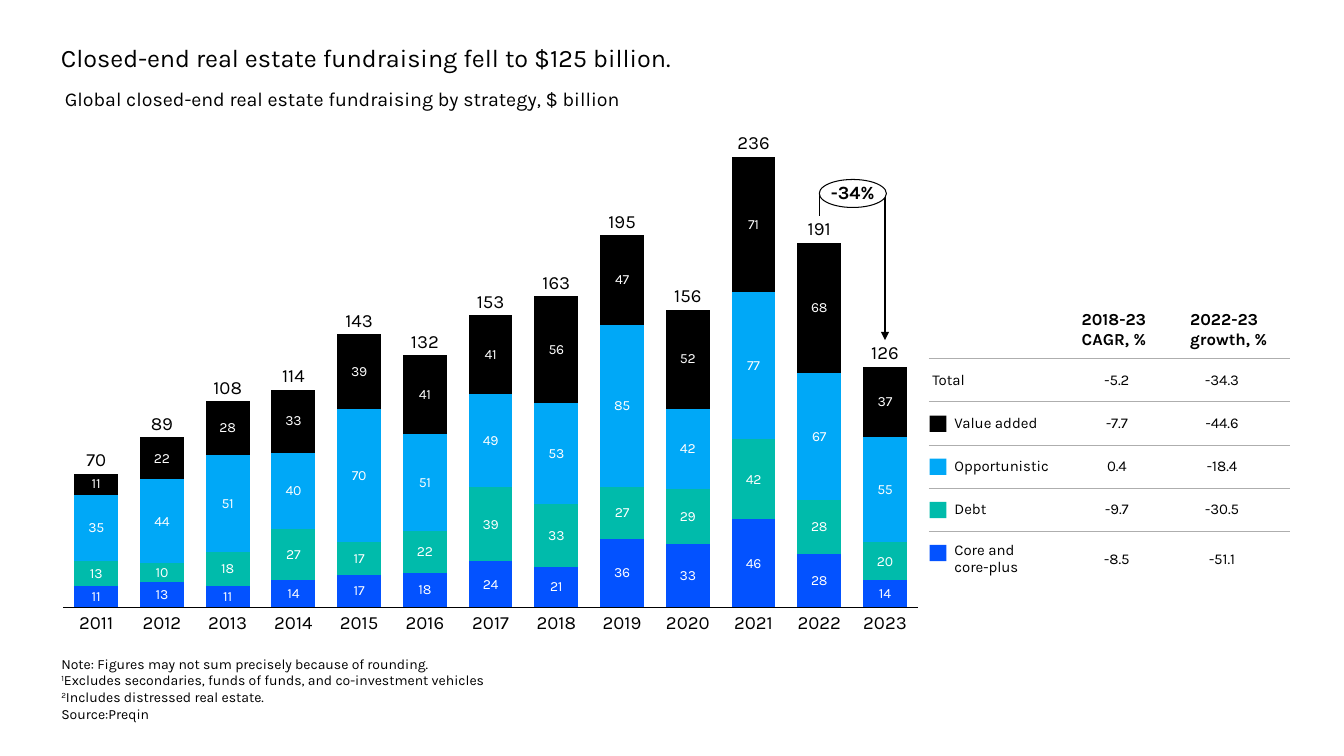
from lxml import etree
from pptx import Presentation
from pptx.chart.data import CategoryChartData
from pptx.dml.color import RGBColor
from pptx.enum.chart import XL_CHART_TYPE, XL_TICK_LABEL_POSITION, XL_TICK_MARK
from pptx.enum.shapes import MSO_CONNECTOR, MSO_SHAPE
from pptx.enum.text import MSO_ANCHOR, MSO_AUTO_SIZE, PP_ALIGN
from pptx.oxml import parse_xml
from pptx.oxml.ns import nsdecls, qn
from pptx.util import Pt

LEFT, CENTER = PP_ALIGN.LEFT, PP_ALIGN.CENTER
TOP, MIDDLE, BOTTOM = MSO_ANCHOR.TOP, MSO_ANCHOR.MIDDLE, MSO_ANCHOR.BOTTOM
STRAIGHT = MSO_CONNECTOR.STRAIGHT
FONT = "Karla"
COLORS = {
    "Core and core-plus": "0352FF",
    "Debt": "00BBAB",
    "Opportunistic": "00A8F7",
    "Value added": "000000",
    "text": "000000",
    "white": "FFFFFF",
    "rule": "AEAEAE",
}
RGB = {name: RGBColor.from_string(value) for name, value in COLORS.items()}

YEARS = range(2011, 2024)
FUNDS = {
    "Core and core-plus": (11, 13, 11, 14, 17, 18, 24, 21, 36, 33, 46, 28, 14),
    "Debt": (13, 10, 18, 27, 17, 22, 39, 33, 27, 29, 42, 28, 20),
    "Opportunistic": (35, 44, 51, 40, 70, 51, 49, 53, 85, 42, 77, 67, 55),
    "Value added": (11, 22, 28, 33, 39, 41, 41, 56, 47, 52, 71, 68, 37),
}
TOTALS = [sum(values) for values in zip(*FUNDS.values())]
PEAK = max(TOTALS)
CHART_X, CHART_Y, CHART_W, CHART_H = 39, 94.3, 623.5, 357
PLOT = {"x": 0.01, "y": 0.05, "w": 0.979, "h": 0.901}
PLOT_X = CHART_X + PLOT["x"] * CHART_W
STEP = PLOT["w"] * CHART_W / len(YEARS)
PLOT_H = PLOT["h"] * CHART_H
BASE_Y = CHART_Y + PLOT["y"] * CHART_H + PLOT_H
CENTERS = [PLOT_X + STEP * (i + 0.5) for i in range(len(YEARS))]


def set_text(tf, text, size, bold=False, align=LEFT, anchor=TOP, inset=None, spacing=None):
    tf.text = text
    tf.vertical_anchor = anchor
    tf.word_wrap = False
    tf.auto_size = MSO_AUTO_SIZE.NONE
    if inset is not None:
        tf.margin_left = tf.margin_right = tf.margin_top = tf.margin_bottom = Pt(inset)
    for p in tf.paragraphs:
        p.alignment = align
        if spacing:
            p.line_spacing = spacing
        p.font.name = FONT
        p.font.size = Pt(size)
        p.font.bold = bold
        p.font.color.rgb = RGB["text"]


def add_box(s, x, y, w, h):
    return s.shapes.add_textbox(Pt(x), Pt(y), Pt(w), Pt(h)).text_frame


prs = Presentation()
prs.slide_width, prs.slide_height = Pt(960), Pt(540)
s = prs.slides.add_slide(prs.slide_layouts[5])

title = s.shapes.title
title.left, title.top, title.width, title.height = Pt(36.3), Pt(26.8), Pt(466.6), Pt(29)
set_text(title.text_frame, "Closed-end real estate fundraising fell to $125 billion.", 18)
set_text(add_box(s, 39.2, 58.5, 415, 24),
         "Global closed-end real estate fundraising by strategy, $ billion", 14)

data = CategoryChartData()
data.categories = [str(year) for year in YEARS]
for name, values in FUNDS.items():
    data.add_series(name, values)
chart = s.shapes.add_chart(XL_CHART_TYPE.COLUMN_STACKED, Pt(CHART_X), Pt(CHART_Y),
                           Pt(CHART_W), Pt(CHART_H), data).chart
chart.has_legend = False
chart.has_title = False
chart.font.name = FONT
chart.font.size = Pt(10)
chart.font.color.rgb = RGB["text"]

val_axis = chart.value_axis
val_axis.minimum_scale, val_axis.maximum_scale = 0, PEAK
val_axis.has_major_gridlines = False
val_axis.visible = False
cat_axis = chart.category_axis
cat_axis.tick_label_position = XL_TICK_LABEL_POSITION.NONE
cat_axis.major_tick_mark = XL_TICK_MARK.NONE
cat_axis.format.line.color.rgb = RGB["text"]
cat_axis.format.line.width = Pt(0.75)

plot = chart.plots[0]
plot.gap_width, plot.overlap = 50, 100
plot.vary_by_categories = False
for series in plot.series:
    series.format.fill.solid()
    series.format.fill.fore_color.rgb = RGB[series.name]
    labels = series.data_labels
    labels.show_value = True
    labels.font.name = FONT
    labels.font.size = Pt(10)
    labels.font.color.rgb = RGB["white"]

plot_area = chart._chartSpace.chart.plotArea
for layout in plot_area.findall(qn("c:layout")):
    plot_area.remove(layout)
sizes = "".join(f'<c:{key} val="{value}"/>' for key, value in PLOT.items())
plot_area.insert(0, parse_xml(
    f'<c:layout {nsdecls("c")}><c:manualLayout><c:layoutTarget val="inner"/>'
    f'<c:xMode val="edge"/><c:yMode val="edge"/>{sizes}</c:manualLayout></c:layout>'))

for year, total, center in zip(YEARS, TOTALS, CENTERS):
    bar_top = BASE_Y - PLOT_H * total / PEAK
    for text, y, anchor in ((year, 438.5, TOP), (total, bar_top - 16.5, BOTTOM)):
        set_text(add_box(s, center - 16, y, 32, 14.4), str(text), 13.3,
                 align=CENTER, anchor=anchor, inset=0, spacing=0.9)

x_2022, x_2023 = CENTERS[-2:]
for x1, y1, x2, y2, arrow in (
    (x_2022, 138.2, x_2023, 138.2, False),
    (x_2023, 138.2, x_2023, 243, True),
    (x_2022, 154, x_2022, 138.2, False),
):
    line = s.shapes.add_connector(STRAIGHT, Pt(x1), Pt(y1), Pt(x2), Pt(y2))
    line.line.color.rgb = RGB["text"]
    line.line.width = Pt(1)
    if arrow:
        etree.SubElement(line.line._get_or_add_ln(), qn("a:tailEnd"), type="triangle")
    etree.SubElement(line._element.spPr, qn("a:effectLst"))

change = s.shapes.add_shape(MSO_SHAPE.OVAL, Pt(x_2022), Pt(128.2), Pt(x_2023 - x_2022 + 1), Pt(20))
change.shadow.inherit = False
change.fill.solid()
change.fill.fore_color.rgb = RGB["white"]
change.line.color.rgb = RGB["text"]
change.line.width = Pt(0.75)
set_text(change.text_frame, "-34%", 13.3, bold=True, align=CENTER, anchor=MIDDLE,
         inset=0, spacing=0.9)

ROWS = [
    ("", "2018-23\nCAGR, %", "2022-23\ngrowth, %"),
    ("Total", "-5.2", "-34.3"),
    ("Value added", "-7.7", "-44.6"),
    ("Opportunistic", "0.4", "-18.4"),
    ("Debt", "-9.7", "-30.5"),
    ("Core and\ncore-plus", "-8.5", "-51.1"),
]
TABLE_X, TABLE_Y, HEADER_H, ROW_H = 664, 215.3, 41, 30.8
table = s.shapes.add_table(len(ROWS), 3, Pt(TABLE_X), Pt(TABLE_Y), Pt(257),
                           Pt(HEADER_H + 4 * ROW_H + 40)).table
table.first_row = table.horz_banding = False
for col, width in zip(table.columns, (101.5, 77.5, 78)):
    col.width = Pt(width)
for i, (row, texts) in enumerate(zip(table.rows, ROWS)):
    row.height = Pt((HEADER_H, ROW_H, ROW_H, ROW_H, ROW_H, 40)[i])
    for j, (cell, text) in enumerate(zip(row.cells, texts)):
        tc_pr = cell._tc.get_or_add_tcPr()
        for tag, shown in (("lnT", i > 0), ("lnB", i < len(ROWS) - 1)):
            if shown:
                tc_pr.append(parse_xml(
                    f'<a:{tag} {nsdecls("a")} w="9525"><a:solidFill>'
                    f'<a:srgbClr val="{COLORS["rule"]}"/></a:solidFill></a:{tag}>'))
        cell.fill.background()
        cell.vertical_anchor = MIDDLE
        cell.margin_top = cell.margin_bottom = Pt(0)
        cell.margin_left = Pt(7.2 if i == 0 else 0 if j else 2 if i == 1 else 17.8)
        cell.margin_right = Pt((0, 12.8, 18)[j] if i else 0)
        cell.text = text
        for p in cell.text_frame.paragraphs:
            p.alignment = CENTER if i and j else LEFT
            p.font.name = FONT
            p.font.size = Pt(10.7 if i else 12)
            p.font.bold = i == 0
            p.font.color.rgb = RGB["text"]

for i, name in enumerate(reversed(FUNDS)):
    key = s.shapes.add_shape(MSO_SHAPE.RECTANGLE, Pt(TABLE_X), Pt(296.8 + ROW_H * i),
                             Pt(12), Pt(11.7))
    key.shadow.inherit = False
    key.fill.solid()
    key.fill.fore_color.rgb = RGB[name]
    key.line.fill.background()

notes = add_box(s, 36.7, 464.4, 317, 55.4)
set_text(notes, "Note: Figures may not sum precisely because of rounding.\n\n\nSource:Preqin", 10)
footnotes = ("Excludes secondaries, funds of funds, and co-investment vehicles",
             "Includes distressed real estate.")
for number, text in enumerate(footnotes, 1):
    p = notes.paragraphs[number]
    mark = p.add_run()
    mark.text = str(number)
    mark._r.get_or_add_rPr().set("baseline", "30000")
    p.add_run().text = text

prs.save("out.pptx")
